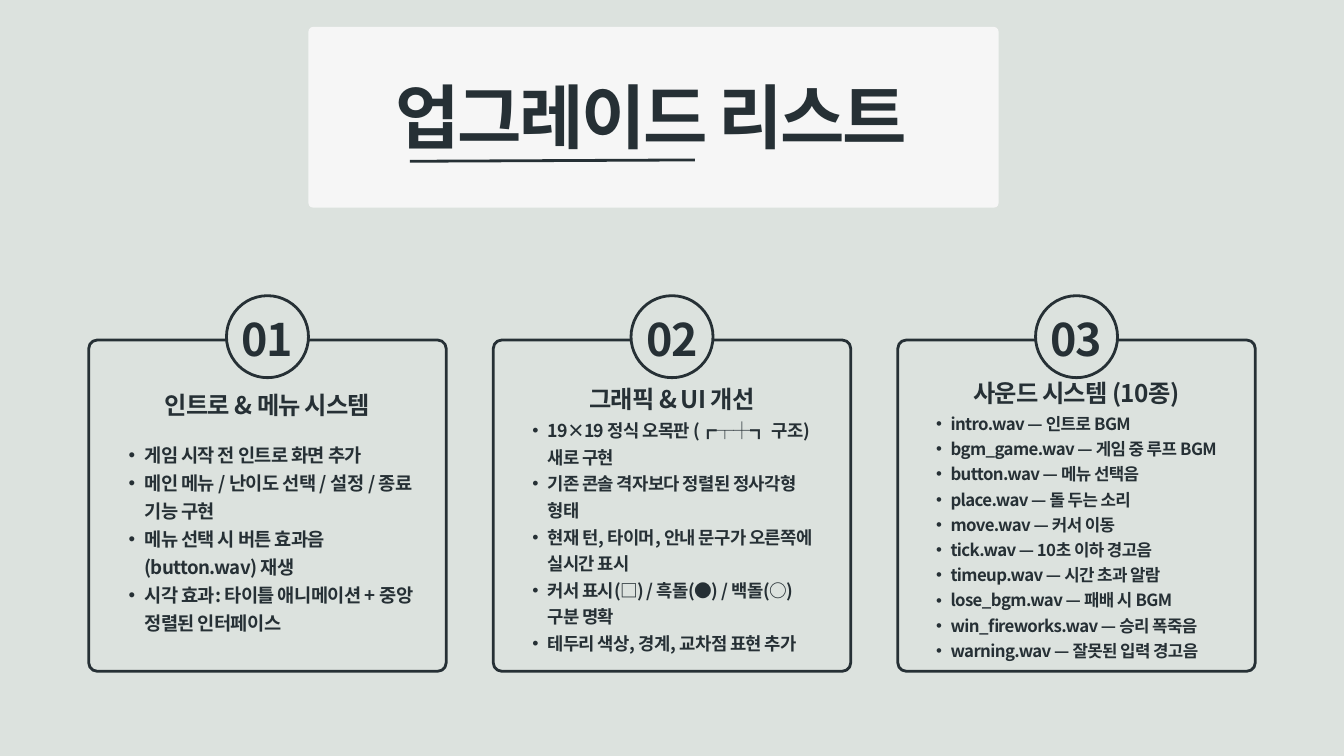
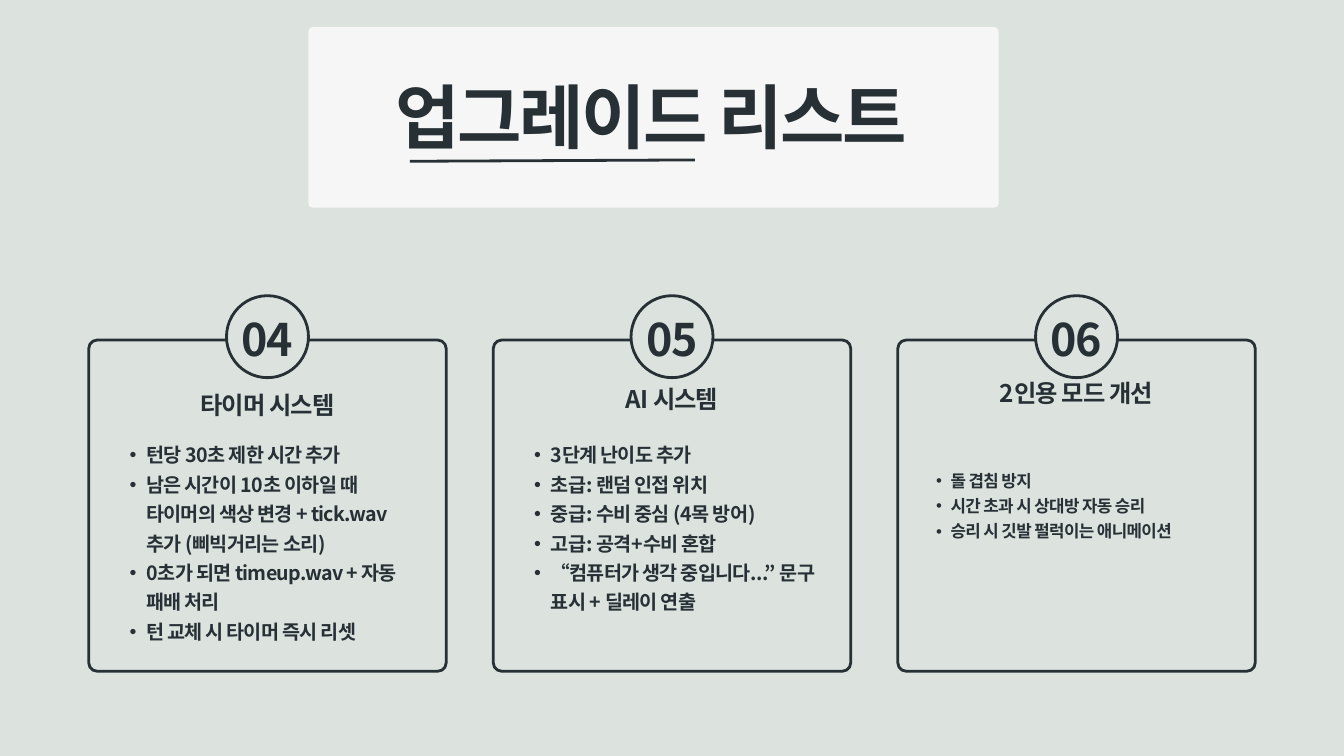
"""Build two slides of numbered upgrade cards for a board game."""
from lxml import etree
from pptx import Presentation, util as u
from pptx.dml.color import RGBColor
from pptx.enum import shapes, text
from pptx.oxml.ns import qn

FONT = "Noto Sans CJK KR"
INK, PAPER, PANEL = "263035", "DCE2DE", "F6F6F6"
WIDTH, HEIGHT = 20, 11.25
CARD_LEFT, CARD_TOP, CARD_WIDTH, CARD_HEIGHT = 1.32, 5.06, 5.32, 4.93
COLUMN_STEP = 6.02
CIRCLE, CIRCLE_TOP = 1.22, 4.4
CORNER = 0.026
TITLE = "업그레이드 리스트"

SLIDES = [
    [
        ("인트로 & 메뉴 시스템", 20, 6.52, [
            "게임 시작 전 인트로 화면 추가",
            "메인 메뉴 / 난이도 선택 / 설정 / 종료 기능 구현",
            "메뉴 선택 시 버튼 효과음(button.wav) 재생",
            "시각 효과: 타이틀 애니메이션 + 중앙 정렬된 인터페이스",
        ]),
        ("그래픽 & UI 개선", 19, 6.17, [
            "19×19 정식 오목판 (┏┬┼┓ 구조) 새로 구현",
            "기존 콘솔 격자보다 정렬된 정사각형 형태",
            "현재 턴, 타이머, 안내 문구가 오른쪽에 실시간 표시",
            "커서 표시(□) / 흑돌(●) / 백돌(○) 구분 명확",
            "테두리 색상, 경계, 교차점 표현 추가",
        ]),
        ("사운드 시스템 (10종)", 18, 6.08, [
            "intro.wav — 인트로 BGM",
            "bgm_game.wav — 게임 중 루프 BGM",
            "button.wav — 메뉴 선택음",
            "place.wav — 돌 두는 소리",
            "move.wav — 커서 이동",
            "tick.wav — 10초 이하 경고음",
            "timeup.wav — 시간 초과 알람",
            "lose_bgm.wav — 패배 시 BGM",
            "win_fireworks.wav — 승리 폭죽음",
            "warning.wav — 잘못된 입력 경고음",
        ]),
    ],
    [
        ("타이머 시스템", 21, 6.51, [
            "턴당 30초 제한 시간 추가",
            "남은 시간이 10초 이하일 때 타이머의 색상 변경 + tick.wav추가 (삐빅거리는 소리)",
            "0초가 되면 timeup.wav + 자동 패배 처리",
            "턴 교체 시 타이머 즉시 리셋",
        ]),
        ("AI 시스템", 21, 6.51, [
            "3단계 난이도 추가",
            "초급: 랜덤 인접 위치",
            "중급: 수비 중심 (4목 방어)",
            "고급: 공격+수비 혼합",
            "“컴퓨터가 생각 중입니다...” 문구 표시 + 딜레이 연출",
        ]),
        ("2인용 모드 개선", 18, 6.93, [
            "돌 겹침 방지",
            "시간 초과 시 상대방 자동 승리",
            "승리 시 깃발 펄럭이는 애니메이션",
        ]),
    ],
]


def paint(target, color):
    """Give a fill or a line's fill one solid colour."""
    target.solid()
    target.fore_color.rgb = RGBColor.from_string(color)


def write(frame, lines, size, spacing, align="LEFT", bullets=False):
    """Write styled paragraphs into a text frame without margins."""
    frame_format = {"margin_left": 0, "margin_right": 0, "margin_top": 0, "margin_bottom": 0,
                    "word_wrap": True, "auto_size": text.MSO_AUTO_SIZE.NONE}
    for name, value in frame_format.items():
        setattr(frame, name, value)
    for index, line in enumerate(lines):
        paragraph = frame.add_paragraph() if index else frame.paragraphs[0]
        paragraph.alignment = getattr(text.PP_ALIGN, align)
        paragraph.line_spacing = u.Pt(size * spacing)
        run = paragraph.add_run()
        run.text = line
        for name, value in {"name": FONT, "size": u.Pt(size), "bold": True}.items():
            setattr(run.font, name, value)
        paint(run.font.fill, INK)
        properties = run.font._element
        properties.set("spc", str(round(-3.6 * size)))
        etree.SubElement(properties, qn("a:ea")).set("typeface", FONT)
        if bullets:
            properties = paragraph._p.get_or_add_pPr()
            indent = u.Pt(1.7 * size)
            properties.set("marL", str(indent))
            properties.set("indent", str(-indent // 2))
            etree.SubElement(properties, qn("a:buFont")).set("typeface", "Arial")
            etree.SubElement(properties, qn("a:buChar")).set("char", "•")


presentation = Presentation()
presentation.slide_width, presentation.slide_height = u.Inches(WIDTH), u.Inches(HEIGHT)
paint(presentation.slide_master.background.fill, PAPER)

for page, cards in enumerate(SLIDES):
    slide = presentation.slides.add_slide(presentation.slide_layouts[5])
    title = slide.shapes.title
    for name, value in {"left": 5.89, "top": 1.1, "width": 10.95, "height": 2.52}.items():
        setattr(title, name, u.Inches(value))
    title.text_frame.vertical_anchor = text.MSO_ANCHOR.TOP
    write(title.text_frame, [TITLE], 75, 1.19)

    panel = slide.shapes.add_shape(shapes.MSO_SHAPE.ROUNDED_RECTANGLE, *map(u.Inches, (4.59, 0.4, 10.27, 2.69)))
    panel.adjustments[0] = CORNER
    panel.shadow.inherit = False
    paint(panel.fill, PANEL)
    panel.line.fill.background()
    title._element.addprevious(panel._element)

    underline = slide.shapes.add_connector(shapes.MSO_CONNECTOR.STRAIGHT, *map(u.Inches, (10.34, 2.38, 6.1, 2.4)))
    paint(underline.line.fill, INK)
    underline.line.width = u.Pt(3)
    etree.SubElement(underline._element.spPr, qn("a:effectLst"))

    for column, (heading, size, body_top, items) in enumerate(cards):
        left = CARD_LEFT + column * COLUMN_STEP
        card = slide.shapes.add_shape(
            shapes.MSO_SHAPE.ROUNDED_RECTANGLE, *map(u.Inches, (left, CARD_TOP, CARD_WIDTH, CARD_HEIGHT)))
        card.adjustments[0] = CORNER
        card.fill.background()
        circle_left = left + (CARD_WIDTH - CIRCLE) / 2
        circle = slide.shapes.add_shape(
            shapes.MSO_SHAPE.OVAL, *map(u.Inches, (circle_left, CIRCLE_TOP, CIRCLE, CIRCLE)))
        paint(circle.fill, PAPER)
        for shape in (card, circle):
            shape.shadow.inherit = False
            paint(shape.line.fill, INK)
            shape.line.width = u.Pt(3)
        number = page * len(cards) + column + 1
        write(circle.text_frame, [f"{number:02d}"], 48, 1.19, "CENTER")
        circle.text_frame.margin_top = u.Inches(0.06)

        heading_box = slide.shapes.add_textbox(
            *map(u.Inches, (left + 0.12, 5.7 - 0.09 * column, CARD_WIDTH - 0.24, 0.54)))
        write(heading_box.text_frame, [heading], 26, 1.5, "CENTER")
        body = slide.shapes.add_textbox(
            *map(u.Inches, (left + 0.36, body_top, CARD_WIDTH - 0.72, CARD_TOP + CARD_HEIGHT - body_top)))
        write(body.text_frame, items, size, 1.5, bullets=True)

presentation.save("out.pptx")
